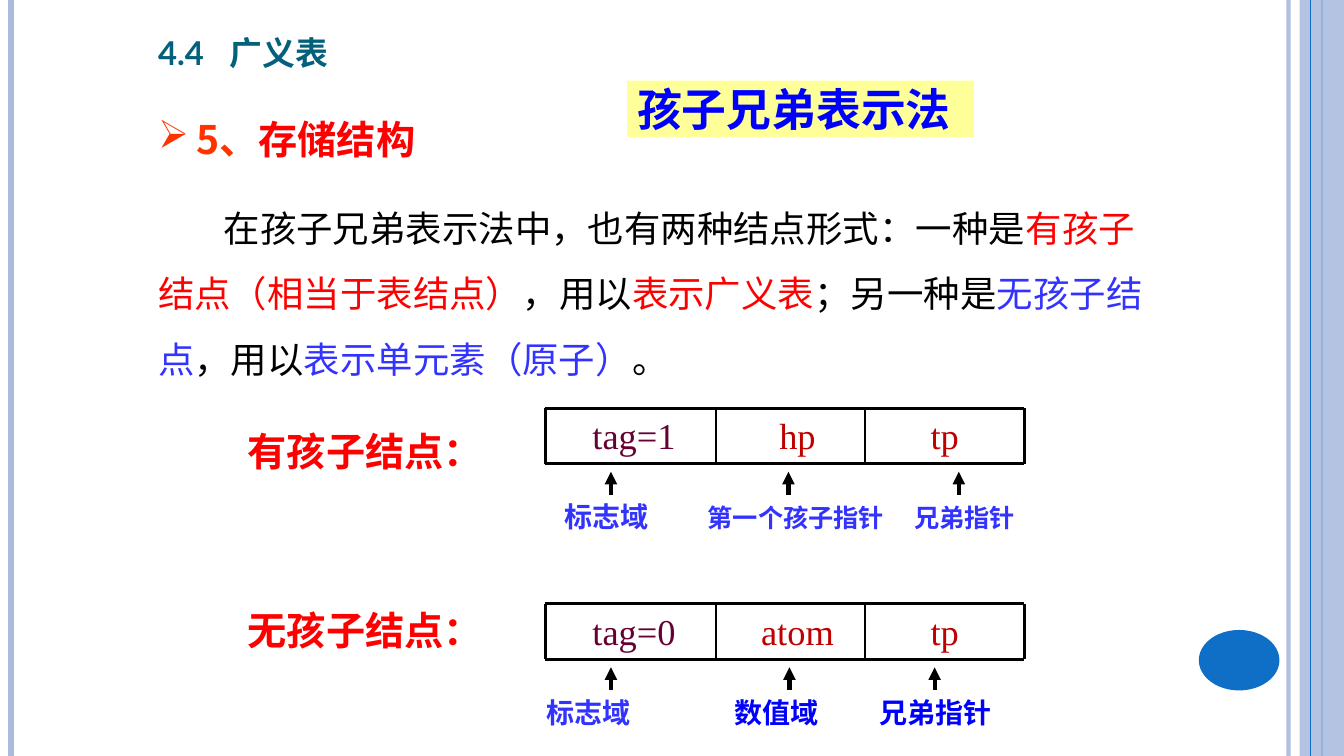
from lxml.etree import SubElement
from pptx import Presentation
from pptx.dml.color import RGBColor
from pptx.enum.shapes import MSO_CONNECTOR, MSO_SHAPE
from pptx.enum.text import MSO_ANCHOR, PP_ALIGN
from pptx.oxml.ns import qn
from pptx.util import Inches, Pt

BLACK = RGBColor(0x00, 0x00, 0x00)
RED = RGBColor(0xFF, 0x00, 0x00)
ORANGE = RGBColor(0xFF, 0x33, 0x00)
DARK_RED = RGBColor(0xC0, 0x00, 0x00)
PLUM = RGBColor(0x66, 0x00, 0x33)
VIOLET = RGBColor(0x33, 0x33, 0xFF)
BLUE = RGBColor(0x00, 0x00, 0xFF)
TEAL = RGBColor(0x04, 0x61, 0x7B)
YELLOW = RGBColor(0xFF, 0xFF, 0x99)
PALE_BLUE = RGBColor(0xAB, 0xBB, 0xDF)
THEME_BLUE = RGBColor(0x0F, 0x6F, 0xC6)
SANS, SERIF, LATO = "Noto Sans CJK SC", "Times New Roman", "Lato"


def set_alpha(part, percent):
    """Make the colours of a shape or line partly transparent."""
    for color in part._element.spPr.iter(qn("a:srgbClr")):
        SubElement(color, qn("a:alpha"), val=str(percent * 1000))


def add_line(shapes, x1, y1, x2, y2, width, color=BLACK, arrow=False):
    """Draw a straight line, with an arrowhead at its start if asked."""
    line = shapes.add_connector(MSO_CONNECTOR.STRAIGHT, Inches(x1), Inches(y1),
                                Inches(x2), Inches(y2))
    line.line.color.rgb = color
    line.line.width = Pt(width)
    if arrow:
        SubElement(line.line._get_or_add_ln(), qn("a:headEnd"), type="triangle")
    SubElement(line._element.spPr, qn("a:effectLst"))
    return line


def add_block(shapes, kind, left, top, width, height, fill):
    """Draw a filled preset shape without outline or shadow."""
    block = shapes.add_shape(kind, Inches(left), Inches(top), Inches(width), Inches(height))
    block.shadow.inherit = False
    block.fill.solid()
    block.fill.fore_color.rgb = fill
    block.line.fill.background()
    return block


def add_run(paragraph, text, size, color, font=SANS, bold=False):
    """Add one run with its font for Latin and Chinese text."""
    run = paragraph.add_run()
    run.text = text
    run.font.size = Pt(size)
    run.font.color.rgb = color
    run.font.bold = bold
    run.font.name = font
    SubElement(run.font._element, qn("a:ea"), typeface=SANS)
    return run


def add_text(shapes, left, top, width, height, anchor=MSO_ANCHOR.TOP):
    """Add a wrapping text box and return its first paragraph."""
    frame = shapes.add_textbox(Inches(left), Inches(top), Inches(width),
                               Inches(height)).text_frame
    frame.word_wrap = True
    frame.vertical_anchor = anchor
    return frame.paragraphs[0]


def set_tabs(paragraph, stops):
    """Set left tab stops, in inches."""
    tab_list = SubElement(paragraph._p.get_or_add_pPr(), qn("a:tabLst"))
    for stop in stops:
        SubElement(tab_list, qn("a:tab"), pos=str(Inches(stop)), algn="l")


def set_bullet(paragraph, char, color, indent):
    """Give a paragraph a coloured bullet with a hanging indent."""
    properties = paragraph._p.get_or_add_pPr()
    properties.set("marL", str(Inches(indent)))
    properties.set("indent", str(-Inches(indent)))
    bullet_color = SubElement(properties, qn("a:buClr"))
    SubElement(bullet_color, qn("a:srgbClr"), val=str(color))
    SubElement(properties, qn("a:buChar"), char=char)


def add_frame(shapes):
    """Draw the decoration along the slide's edges."""
    edge = add_line(shapes, 12.78, 0, 12.78, 7.5, 3, PALE_BLUE)
    set_alpha(edge, 93)
    add_line(shapes, 0.11, 0, 0.11, 7.5, 4.5, PALE_BLUE)
    add_line(shapes, 13.11, 0, 13.11, 7.5, 1.5, THEME_BLUE)
    band = add_block(shapes, MSO_SHAPE.RECTANGLE, 12.89, 0, 0.44, 7.5, PALE_BLUE)
    set_alpha(band, 87)
    add_line(shapes, 13, 0, 13, 7.5, 0.75, THEME_BLUE)
    add_block(shapes, MSO_SHAPE.OVAL, 11.89, 6.25, 0.8, 0.6, THEME_BLUE)


def add_headings(shapes):
    """Add the topic heading and the chapter title."""
    topic = add_text(shapes, 1.47, 1, 3.93, 0.71)
    topic.line_spacing = 1.2
    set_bullet(topic, "➢", ORANGE, 0.38)
    add_run(topic, "5、", 28, ORANGE, bold=True)
    add_run(topic, "存储结构", 28, RED, bold=True)

    chapter = add_text(shapes, 1.47, 0.18, 3.7, 0.61, MSO_ANCHOR.BOTTOM)
    chapter.line_spacing = 0.9
    set_tabs(chapter, [0.71])
    title = add_run(chapter, "4.4\t广义表", 29.2, TEAL, LATO, True)
    title.font._element.set("cap", "small")


def add_explanation(shapes):
    """Add the paragraph about the two forms of node."""
    explanation = add_text(shapes, 1.47, 1.69, 10.16, 2.22, MSO_ANCHOR.MIDDLE)
    explanation.line_spacing = 1.5
    explanation._p.get_or_add_pPr().set("indent", str(Inches(0.65)))
    for text, color in [
        ("在孩子兄弟表示法中，也有两种结点形式：一种是", BLACK),
        ("有孩子结点（相当于表结点）", RED),
        ("，用以", BLACK),
        ("表示广义表", RED),
        ("；另一种是", BLACK),
        ("无孩子结点", VIOLET),
        ("，用以", BLACK),
        ("表示单元素（原子）", VIOLET),
        ("。", BLACK),
    ]:
        add_run(explanation, text, 26, color, SERIF)


def add_node_names(shapes):
    """Add the names to the left of the two nodes."""
    with_child = add_text(shapes, 2.36, 4.19, 3.84, 2.46)
    add_run(with_child, "有孩子结点：", 28, RED, bold=True)
    without_child = with_child._parent.add_paragraph()
    without_child.space_before = Pt(94)
    add_run(without_child, "无孩子结点：", 28, RED, SERIF, True)


def add_node(shapes, top, fields, arrows, labels, stops):
    """Draw a node of three fields with arrows and labels below it."""
    node = shapes.add_group_shape().shapes
    left, right, height = 5.41, 10.16, 0.55
    bottom = top + height
    columns = [(left, 1.76, PLUM), (7.24, 1.34, DARK_RED), (8.58, 1.58, DARK_RED)]
    for field, (x, width, color) in zip(fields, columns):
        cell = add_text(node, x, top, width, height)
        cell.alignment = PP_ALIGN.CENTER
        add_run(cell, field, 26, color, SERIF)
    for y in (top, bottom):
        add_line(node, left, y, right, y, 2.25)
    for x, weight in [(left, 2.25), (7.1, 1), (8.58, 1), (right, 2.25)]:
        add_line(node, x, top, x, bottom, weight)
    caption = add_text(node, 5.25, top + 0.86, 5.35, 0.44)
    set_tabs(caption, stops)
    for text, size, color in labels:
        add_run(caption, "\t" + text, size, color, SERIF, True)
    for x in arrows:
        add_line(node, x, bottom + 0.08, x, bottom + 0.31, 3, arrow=True)


def add_method_name(shapes):
    """Add the highlighted name of the method."""
    banner = add_block(shapes, MSO_SHAPE.RECTANGLE, 6.22, 0.8, 3.44, 0.56, YELLOW)
    banner.text_frame.vertical_anchor = MSO_ANCHOR.MIDDLE
    method = banner.text_frame.paragraphs[0]
    method.alignment = PP_ALIGN.LEFT
    add_run(method, "孩子兄弟表示法", 32, BLUE, bold=True)


def main():
    """Build the slide and save it."""
    deck = Presentation()
    deck.slide_width, deck.slide_height = Inches(13.33), Inches(7.5)
    shapes = deck.slides.add_slide(deck.slide_layouts[6]).shapes
    add_frame(shapes)
    add_headings(shapes)
    add_explanation(shapes)
    add_node_names(shapes)
    add_node(shapes, 4.05, ["tag=1", "hp", "tp"], [6.06, 7.82, 9.51],
             [("标志域", 20, VIOLET), ("第一个孩子指针", 18, VIOLET),
              ("兄弟指针", 18, VIOLET)], [0.25, 1.67, 3.72])
    add_node(shapes, 5.99, ["tag=0", "atom", "tp"], [6.06, 7.83, 9.27],
             [("标志域", 20, VIOLET), ("数值域", 20, BLUE),
              ("兄弟指针", 20, BLUE)], [0.07, 1.94, 3.37])
    add_method_name(shapes)
    deck.save("out.pptx")


main()
